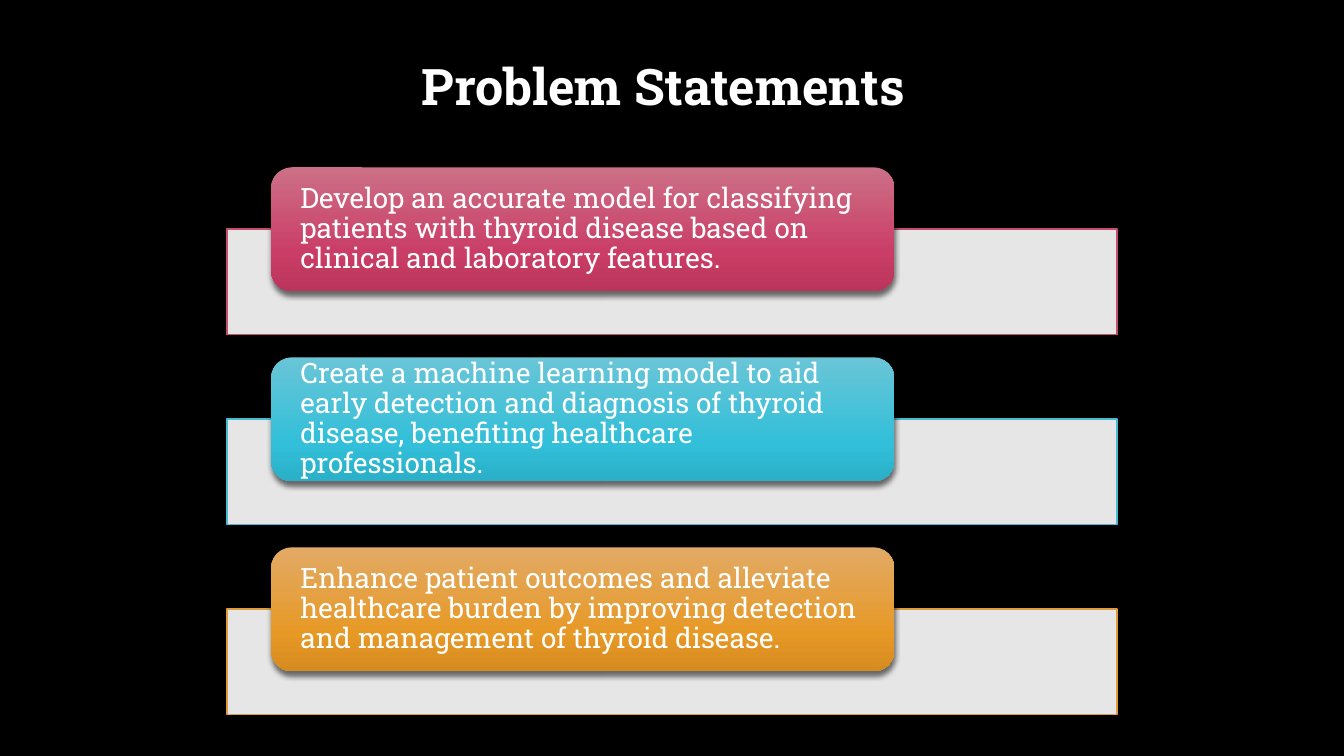
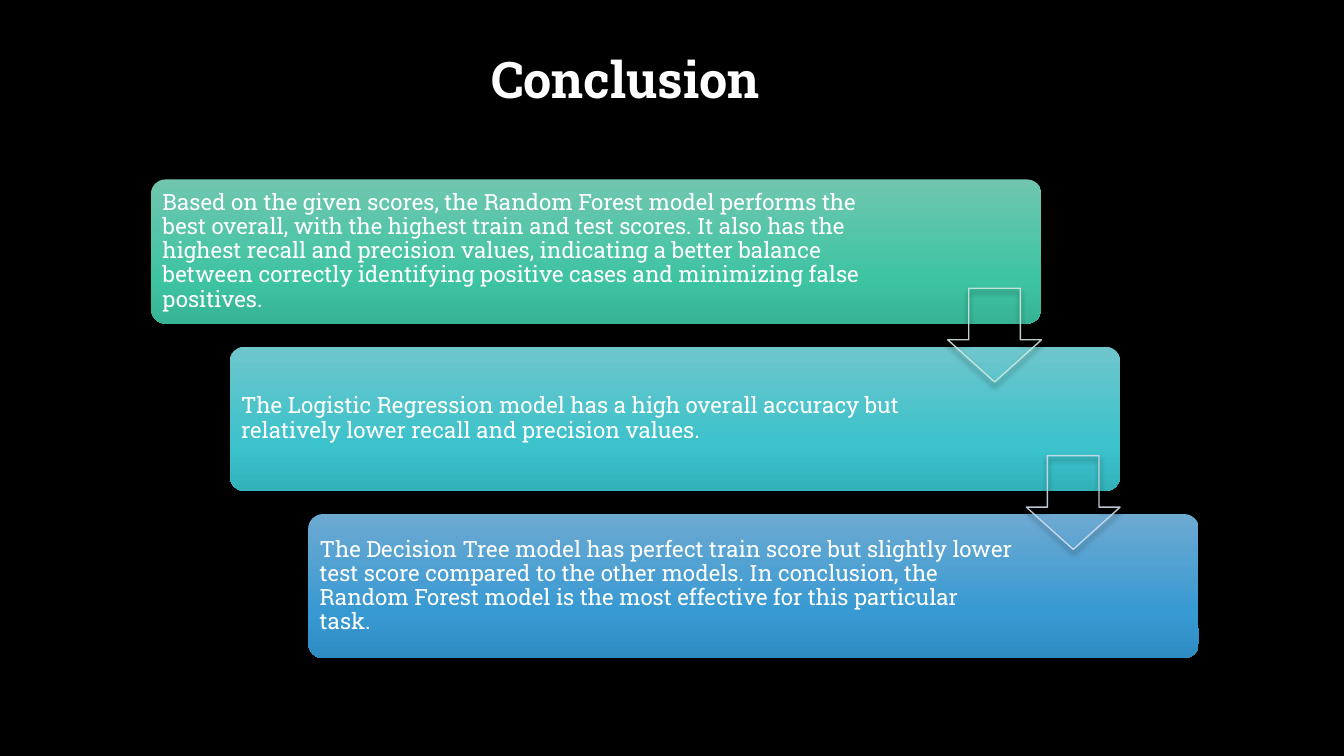
from copy import deepcopy

from lxml import etree
from pptx import Presentation
from pptx.dml.color import RGBColor
from pptx.enum.shapes import MSO_SHAPE
from pptx.enum.text import MSO_ANCHOR, MSO_AUTO_SIZE, PP_ALIGN
from pptx.oxml.ns import qn
from pptx.util import Inches, Pt

RECTANGLE = MSO_SHAPE.RECTANGLE
ROUNDED = MSO_SHAPE.ROUNDED_RECTANGLE
DOWN_ARROW = MSO_SHAPE.DOWN_ARROW
LEFT, CENTER = PP_ALIGN.LEFT, PP_ALIGN.CENTER
MIDDLE = MSO_ANCHOR.MIDDLE
NO_AUTOFIT = MSO_AUTO_SIZE.NONE

FONT = "Roboto Slab"
BLACK = RGBColor(0x00, 0x00, 0x00)
WHITE = RGBColor(0xFF, 0xFF, 0xFF)
PINK_LINE = RGBColor(0xC5, 0x4F, 0x71)
CYAN_LINE = RGBColor(0x45, 0xBC, 0xD2)
ORANGE_LINE = RGBColor(0xDE, 0x9C, 0x3C)
MINT_LINE = RGBColor(0xD0, 0xE8, 0xE0)
PALE_BLUE_LINE = RGBColor(0xD0, 0xDE, 0xEC)

# Gradients run from top to bottom, with stops at GRADIENT_POSITIONS.
GRADIENT_POSITIONS = (0, 0.69, 1)
PINK = (RGBColor(0xCC, 0x70, 0x87), RGBColor(0xCA, 0x3D, 0x66), RGBColor(0xBA, 0x35, 0x5B))
CYAN = (RGBColor(0x6A, 0xC5, 0xD7), RGBColor(0x32, 0xBF, 0xD9), RGBColor(0x2A, 0xB0, 0xC8))
ORANGE = (RGBColor(0xE2, 0xAA, 0x66), RGBColor(0xE7, 0x99, 0x26), RGBColor(0xD6, 0x8B, 0x1F))
GREEN = (RGBColor(0x70, 0xC6, 0xAF), RGBColor(0x3E, 0xC4, 0xA3), RGBColor(0x37, 0xB3, 0x95))
TEAL = (RGBColor(0x6E, 0xC6, 0xCC), RGBColor(0x3B, 0xC2, 0xCB), RGBColor(0x33, 0xB2, 0xBA))
BLUE = (RGBColor(0x6D, 0xAA, 0xD2), RGBColor(0x37, 0x99, 0xD2), RGBColor(0x2F, 0x8C, 0xC2))

SLIDE_SIZE = (13.33, 7.5)
BLOCK_WIDTH = 8.83

PROBLEMS = [
    ("Develop an accurate model for classifying patients with thyroid disease "
     "based on clinical and laboratory features.", PINK, PINK_LINE),
    ("Create a machine learning model to aid early detection and diagnosis of thyroid "
     "disease, benefiting healthcare professionals.", CYAN, CYAN_LINE),
    ("Enhance patient outcomes and alleviate healthcare burden by improving detection "
     "and management of thyroid disease.", ORANGE, ORANGE_LINE),
]
# Text, gradient and right margin of each step.
CONCLUSIONS = [
    ("Based on the given scores, the Random Forest model performs the best overall, with "
     "the highest train and test scores. It also has the highest recall and precision "
     "values, indicating a better balance between correctly identifying positive cases "
     "and minimizing false positives.", GREEN, 1.53),
    ("The Logistic Regression model has a high overall accuracy but relatively lower "
     "recall and precision values.", TEAL, 1.78),
    ("The Decision Tree model has perfect train score but slightly lower test score "
     "compared to the other models. In conclusion, the Random Forest model is the most "
     "effective for this particular task.", BLUE, 1.78),
]


def write_text(shape, text, size, bold=False, align=LEFT, line_spacing=None,
               margins=(0.1, 0.05, 0.1, 0.05)):
    """Fill a shape with one paragraph; margins are left, top, right, bottom in inches."""
    frame = shape.text_frame
    frame.word_wrap = True
    frame.auto_size = NO_AUTOFIT
    frame.vertical_anchor = MIDDLE
    (frame.margin_left, frame.margin_top,
     frame.margin_right, frame.margin_bottom) = map(Inches, margins)
    paragraph = frame.paragraphs[0]
    paragraph.alignment = align
    if line_spacing:
        paragraph.line_spacing = line_spacing
    run = paragraph.add_run()
    run.text = text
    run.font.name = FONT
    run.font.size = Pt(size)
    run.font.bold = bold
    run.font.color.rgb = WHITE


def set_opacity(parent, percent):
    color = next(parent.iter(qn("a:srgbClr")))
    etree.SubElement(color, qn("a:alpha"), val=str(percent * 1000))


def add_shadow(shape):
    shape.shadow.inherit = False
    effects = shape._element.spPr.find(qn("a:effectLst"))
    shadow = etree.SubElement(effects, qn("a:outerShdw"), blurRad=str(Pt(4)),
                              dist=str(Pt(3)), dir="5400000", rotWithShape="0")
    etree.SubElement(shadow, qn("a:srgbClr"), val=str(BLACK))
    set_opacity(shadow, 54)


def fill_gradient(shape, colors):
    shape.fill.gradient()
    shape.fill.gradient_angle = 270
    stop_list = next(shape._element.spPr.iter(qn("a:gsLst")))
    stop_list.append(deepcopy(stop_list[-1]))
    for stop, position, color in zip(shape.fill.gradient_stops, GRADIENT_POSITIONS, colors):
        stop.position = position
        stop.color.rgb = color


def add_shadowed_shape(slide, kind, box, adjustments=()):
    shape = slide.shapes.add_shape(kind, *map(Inches, box))
    for index, value in enumerate(adjustments):
        shape.adjustments[index] = value
    add_shadow(shape)
    return shape


def add_card(slide, box, colors, text, size, margins, adjustments=()):
    card = add_shadowed_shape(slide, ROUNDED, box, adjustments)
    fill_gradient(card, colors)
    card.line.fill.background()
    write_text(card, text, size, line_spacing=0.9, margins=margins)


def add_band(slide, box, line_color):
    band = add_shadowed_shape(slide, RECTANGLE, box)
    band.fill.solid()
    band.fill.fore_color.rgb = WHITE
    set_opacity(band._element.spPr.find(qn("a:solidFill")), 90)
    band.line.color.rgb = line_color
    band.line.width = Pt(1)


def add_step_arrow(slide, box, line_color):
    arrow = add_shadowed_shape(slide, DOWN_ARROW, box, (0.55, 0.45))
    arrow.fill.background()
    arrow.line.color.rgb = line_color
    arrow.line.width = Pt(1)
    set_opacity(arrow._element.spPr.find(qn("a:ln")), 90)


def add_titled_slide(presentation, title, box, align):
    slide = presentation.slides.add_slide(presentation.slide_layouts.get_by_name("Title Only"))
    placeholder = slide.shapes.title
    (placeholder.left, placeholder.top,
     placeholder.width, placeholder.height) = map(Inches, box)
    write_text(placeholder, title, 36, bold=True, align=align)
    return slide


def build_problems(presentation):
    slide = add_titled_slide(presentation, "Problem Statements",
                             (0.24, 0.35, 12.68, 0.99), CENTER)
    left, top, row_pitch = 2.25, 1.66, 1.885
    for row, (text, colors, line_color) in enumerate(PROBLEMS):
        card_top = top + row * row_pitch
        add_band(slide, (left, card_top + 0.61, BLOCK_WIDTH, 1.05), line_color)
        add_card(slide, (left + 0.44, card_top, 0.7 * BLOCK_WIDTH, 1.23), colors, text, 20,
                 margins=(0.23, 0, 0.23, 0))


def build_conclusion(presentation):
    slide = add_titled_slide(presentation, "Conclusion", (4.77, 0.42, 3.94, 0.71), LEFT)
    left, top, step_right, step_down = 1.5, 1.78, 0.78, 1.66
    for step, (text, colors, right_margin) in enumerate(CONCLUSIONS):
        box = (left + step * step_right, top + step * step_down, BLOCK_WIDTH, 1.43)
        add_card(slide, box, colors, text, 16, margins=(0.07, 0.07, right_margin, 0.07),
                 adjustments=(0.1,))
    arrow_size = 0.93
    for step, line_color in enumerate((MINT_LINE, PALE_BLUE_LINE)):
        arrow_left = left + step * step_right + BLOCK_WIDTH - arrow_size
        arrow_top = top + step * step_down + 1.08
        add_step_arrow(slide, (arrow_left, arrow_top, arrow_size, arrow_size), line_color)


def main():
    presentation = Presentation()
    presentation.slide_width, presentation.slide_height = map(Inches, SLIDE_SIZE)
    background = presentation.slide_master.background.fill
    background.solid()
    background.fore_color.rgb = BLACK
    build_problems(presentation)
    build_conclusion(presentation)
    presentation.save("out.pptx")


if __name__ == "__main__":
    main()
